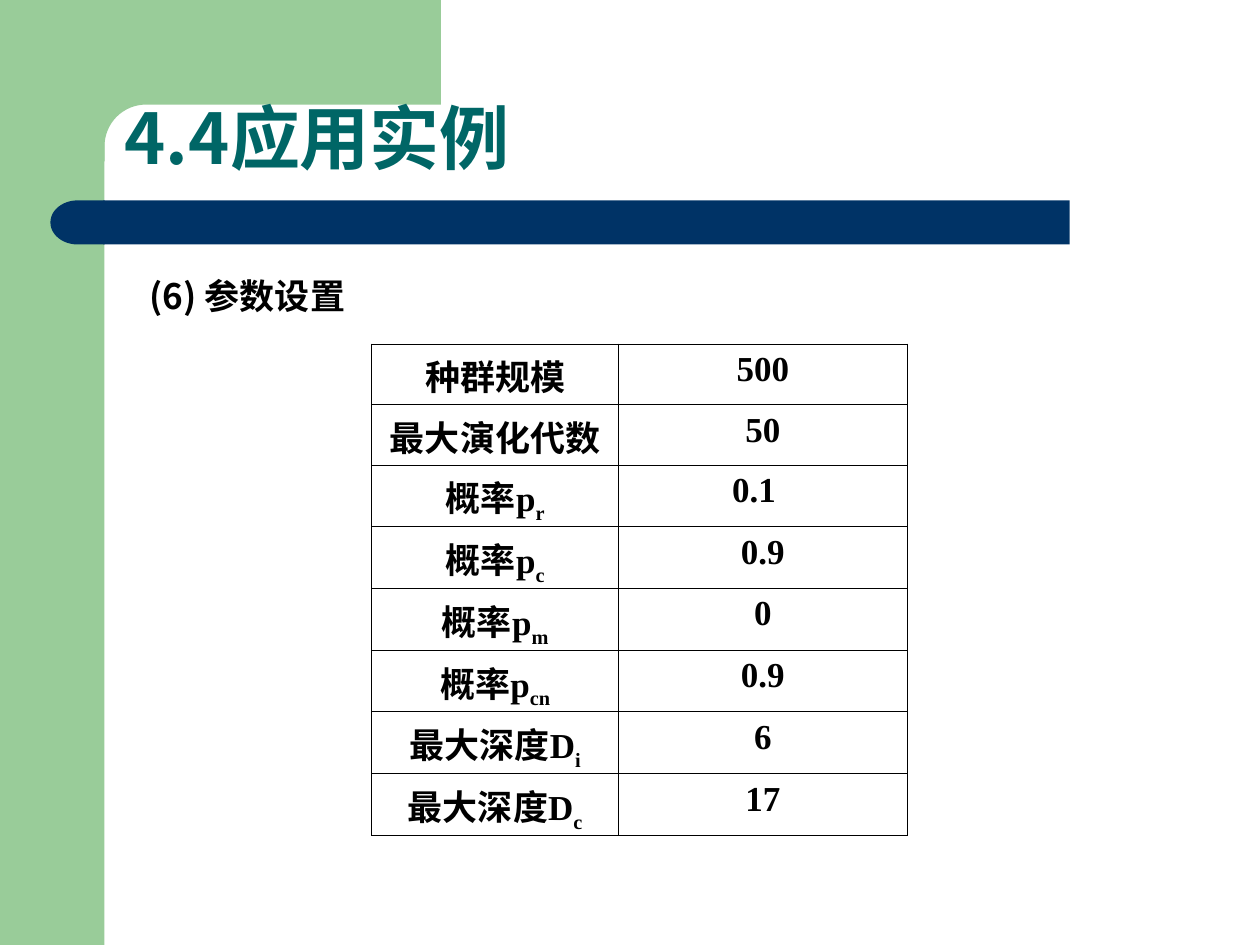
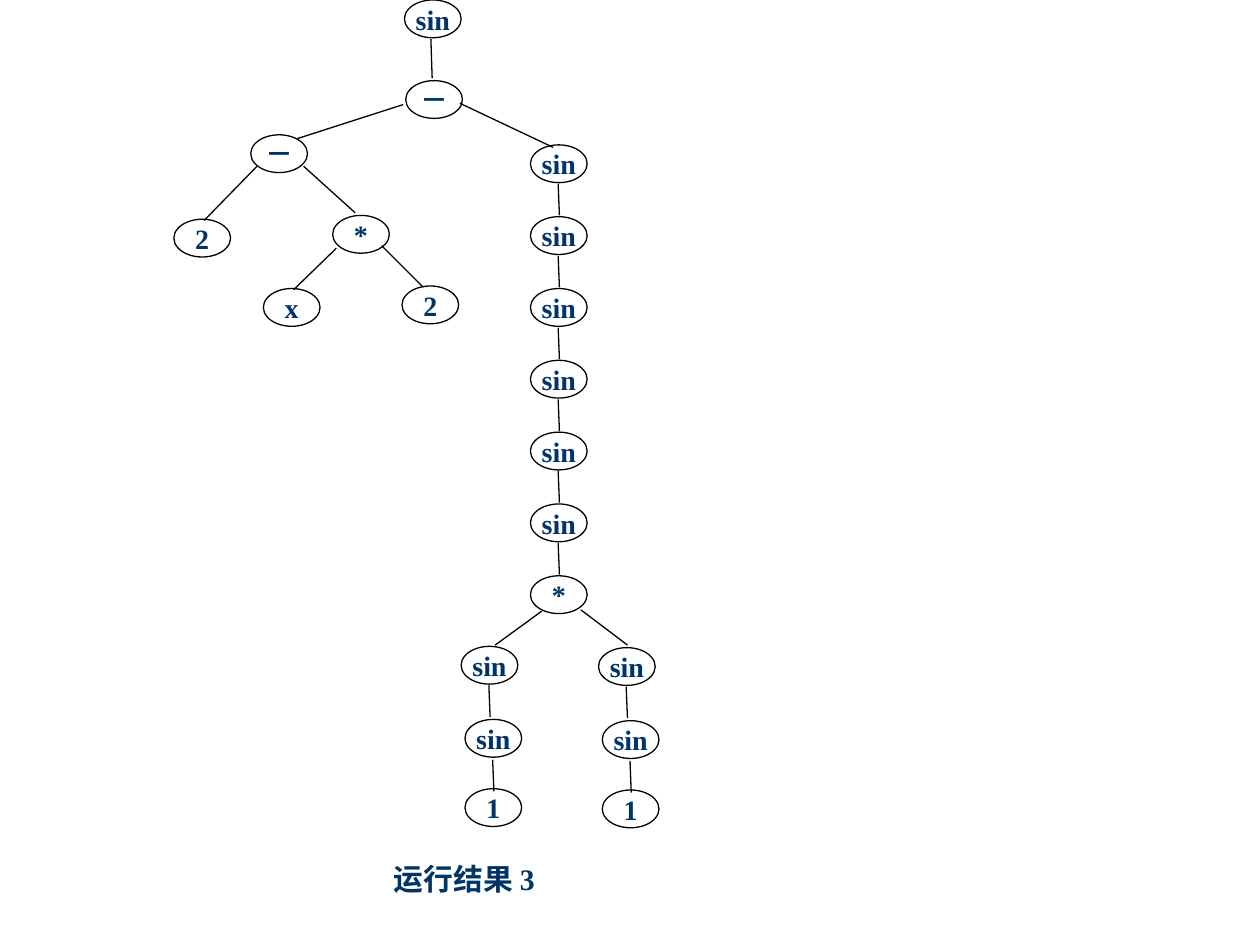
import math
from lxml import etree
from pptx import Presentation, util as u
from pptx.dml.color import RGBColor
from pptx.enum import shapes as sh, text as tx
from pptx.oxml.ns import qn

INK = {"green": "99CC99", "navy": "003366", "teal": "006666",
       "black": "000000", "white": "FFFFFF"}
SANS, SERIF = "Noto Sans CJK SC", "Times New Roman"
inch = u.Inches


def paint(shape, fill, line=None):
    shape.shadow.inherit = False
    shape.fill.solid()
    shape.fill.fore_color.rgb = RGBColor.from_string(INK[fill])
    if line:
        shape.line.color.rgb = RGBColor.from_string(INK[line])
        shape.line.width = u.Pt(0.75)
    else:
        shape.line.fill.background()


def style(par, size, hue, face, align=tx.PP_ALIGN.CENTER):
    par.alignment = align
    for run in par.runs:
        run.font.size = u.Pt(size)
        run.font.bold = True
        run.font.name = face
        run.font.color.rgb = RGBColor.from_string(INK[hue])
        east = etree.SubElement(run.font._element, qn("a:ea"))
        east.set("typeface", SANS)


prs = Presentation()
prs.slide_width, prs.slide_height = inch(10), inch(7.5)

# Slide 1: parameter table
page = prs.slides.add_slide(prs.slide_layouts[5])

# Green side band and rounded corner
side = page.shapes.add_shape(sh.MSO_SHAPE.RECTANGLE, 0, 0, inch(0.83), inch(7.5))
paint(side, "green")
bend = [math.radians(90 * i / 16) for i in range(17)]
edge = [(3.5, 0.83)]
edge += [(1.16 - 0.33 * math.sin(a), 1.16 - 0.33 * math.cos(a)) for a in bend]
edge += [(0.83, 1.28), (0.5, 1.28), (0.5, 0)]
path = page.shapes.build_freeform(inch(3.5), 0)
path.add_line_segments([(inch(x), inch(y)) for x, y in edge], close=True)
paint(path.convert_to_shape(), "green")

# Navy bar with round end
bar = page.shapes.add_shape(sh.MSO_SHAPE.RECTANGLE, inch(0.82), inch(1.59), inch(7.67), inch(0.35))
cap = page.shapes.add_shape(sh.MSO_SHAPE.FLOWCHART_DELAY, inch(0.4), inch(1.59), inch(0.43), inch(0.35))
cap.rotation = 180
paint(bar, "navy")
paint(cap, "navy")

# Title, in front of the bands
title = page.shapes.title
title.left, title.top, title.width, title.height = inch(0.89), inch(0.35), inch(8.54), inch(1.13)
frame = title.text_frame
frame.text = "4.4应用实例"
frame.auto_size = tx.MSO_AUTO_SIZE.NONE
frame.vertical_anchor = tx.MSO_ANCHOR.BOTTOM
frame.paragraphs[0].line_spacing = 0.9
style(frame.paragraphs[0], 40, "teal", SANS, tx.PP_ALIGN.LEFT)
page.shapes._spTree.append(title._element)

# Subheading
head = page.shapes.add_textbox(inch(1.09), inch(2.13), inch(8.47), inch(0.5)).text_frame
head.word_wrap = True
head.text = "(6) 参数设置"
head.paragraphs[0].space_before = u.Pt(5)
style(head.paragraphs[0], 20, "black", SANS, tx.PP_ALIGN.LEFT)

# Table: label, subscript, value
rows = [("种群规模", "", "500"), ("最大演化代数", "", "50"),
        ("概率p", "r", "0.1"), ("概率p", "c", "0.9"),
        ("概率p", "m", "0"), ("概率p", "cn", "0.9"),
        ("最大深度D", "i", "6"), ("最大深度D", "c", "17")]
grid = page.shapes.add_table(len(rows), 2, inch(2.95), inch(2.73), inch(4.25), inch(3.9)).table
grid.first_row = grid.horz_banding = False
grid.columns[0].width, grid.columns[1].width = inch(1.96), inch(2.29)
for r, (label, sub, value) in enumerate(rows):
    grid.rows[r].height = inch(0.49 if sub else 0.48)
    for c, word in enumerate((label, value)):
        cell = grid.cell(r, c)
        cell.text = word
        par = cell.text_frame.paragraphs[0]
        if c == 0 and sub:
            low = par.add_run()
            low.text = sub
            low.font._element.set("baseline", "-25000")
        style(par, 20, "black", SERIF)
        props = cell._tc.get_or_add_tcPr()
        for tag in ("a:lnL", "a:lnR", "a:lnT", "a:lnB"):
            rim = etree.SubElement(props, qn(tag), w=str(u.Pt(0.45)))
            fill = etree.SubElement(rim, qn("a:solidFill"))
            etree.SubElement(fill, qn("a:srgbClr"), val=INK["black"])
        cell.fill.solid()
        cell.fill.fore_color.rgb = RGBColor.from_string(INK["white"])
grid.cell(0, 0).vertical_anchor = tx.MSO_ANCHOR.MIDDLE
grid.cell(2, 1).margin_right = inch(0.24)

# Slide 2: expression tree
page = prs.slides.add_slide(prs.slide_layouts[6])

# Upper tree
nodes = [("sin", 3.21, 0), ("－", 3.22, 0.64), ("－", 1.99, 1.07), ("2", 1.38, 1.74),
         ("*", 2.64, 1.71), ("x", 2.09, 2.29), ("2", 3.19, 2.27)]
links = [(3.42, 0.31, 3.43, 0.62), (3.2, 0.83, 2.36, 1.1), (3.65, 0.82, 4.39, 1.17),
         (2.04, 1.32, 1.62, 1.75), (2.41, 1.32, 2.82, 1.69),
         (2.67, 1.97, 2.33, 2.3), (3.03, 1.95, 3.36, 2.28),
         (4.3, 4.85, 3.93, 5.12), (4.61, 4.84, 4.98, 5.12)]

# Long chain on the right
step = 0.57
nodes += [("sin" if i < 6 else "*", 4.21, 1.15 + step * i) for i in range(7)]
links += [(4.43, 1.46 + step * i, 4.44, 1.71 + step * i) for i in range(6)]

# Two matching chains at the bottom
for dx, dy in ((0, 0), (1.09, 0.01)):
    nodes += [(word, x + dx, y + dy) for word, x, y in
              (("sin", 3.66, 5.13), ("sin", 3.69, 5.71), ("1", 3.69, 6.26))]
    links += [(x + dx, y + dy, x + dx + 0.01, y + dy + 0.25)
              for x, y in ((3.88, 5.44), (3.91, 6.03))]

for word, x, y in nodes:
    node = page.shapes.add_shape(sh.MSO_SHAPE.OVAL, inch(x), inch(y), inch(0.45), inch(0.3))
    paint(node, "white", "black")
    frame = node.text_frame
    frame.margin_left = frame.margin_right = frame.margin_top = frame.margin_bottom = 0
    frame.word_wrap = False
    frame.vertical_anchor = tx.MSO_ANCHOR.MIDDLE
    frame.text = word
    style(frame.paragraphs[0], 16, "navy", SERIF)

for ends in links:
    link = page.shapes.add_connector(sh.MSO_CONNECTOR.STRAIGHT, *map(inch, ends))
    link.line.color.rgb = RGBColor.from_string(INK["black"])
    link.line.width = u.Pt(0.75)
    etree.SubElement(link._element.spPr, qn("a:effectLst"))

# Caption
note = page.shapes.add_textbox(inch(2.65), inch(6.86), inch(2.07), inch(0.31)).text_frame
note.margin_left = note.margin_right = note.margin_top = note.margin_bottom = 0
note.word_wrap = True
note.text = "运行结果 3"
note.paragraphs[0].line_spacing = 0.9
style(note.paragraphs[0], 17, "navy", SERIF)

prs.save("out.pptx")
